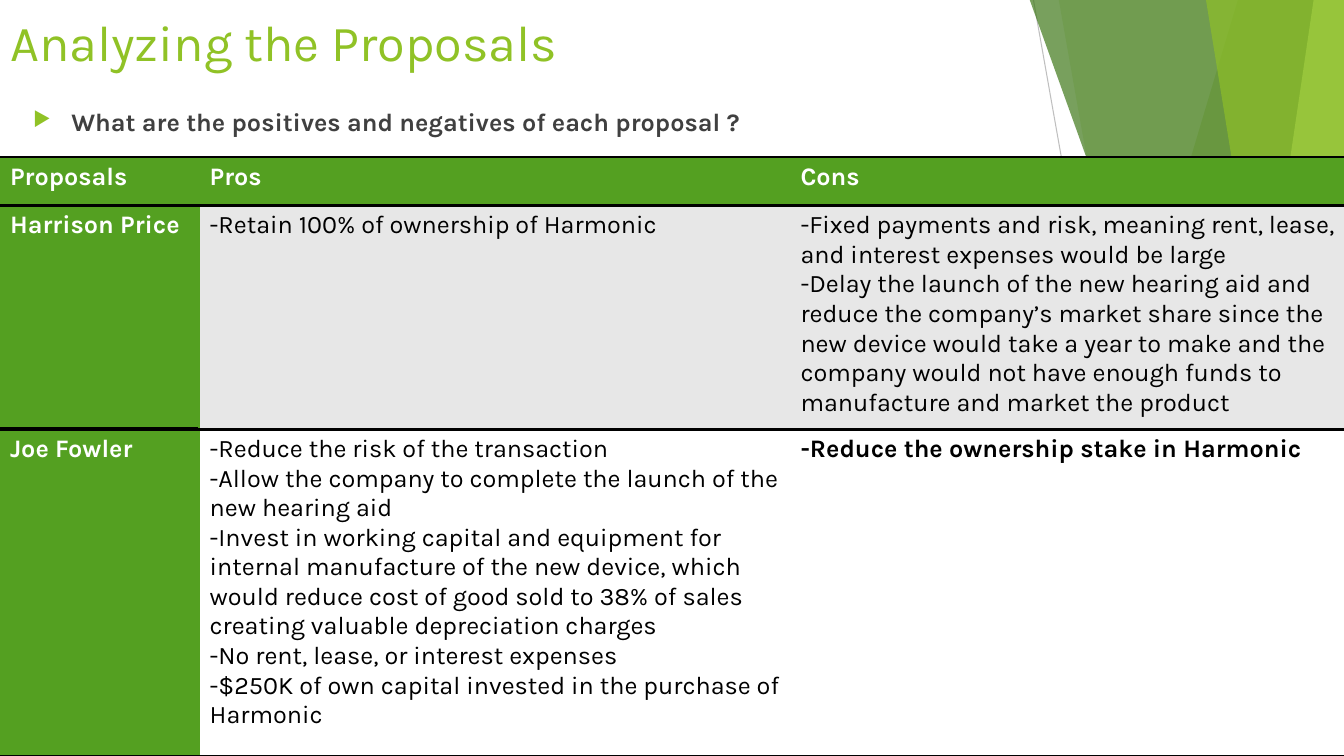
from lxml.etree import SubElement
from pptx import Presentation
from pptx.dml.color import RGBColor
from pptx.enum.shapes import MSO_CONNECTOR, MSO_SHAPE
from pptx.enum.text import MSO_ANCHOR, PP_ALIGN
from pptx.oxml import parse_xml
from pptx.oxml.ns import nsdecls, qn
from pptx.util import Inches, Pt

LIME = RGBColor(0x90, 0xC2, 0x26)
GREEN = RGBColor(0x54, 0xA0, 0x21)
FOREST = RGBColor(0x3F, 0x78, 0x19)
PALE = RGBColor(0xC0, 0xE4, 0x74)
DARK = RGBColor(0x40, 0x40, 0x40)
SILVER = RGBColor(0xBF, 0xBF, 0xBF)
MIST = RGBColor(0xD9, 0xD9, 0xD9)
BAND = RGBColor(0xE7, 0xE7, 0xE7)
BLACK = RGBColor(0, 0, 0)
WHITE = RGBColor(255, 255, 255)
W, H = 13.33, 7.5
TOP = -0.01


def write(tf, *paras, size=18, color=BLACK, bold=False, anchor=MSO_ANCHOR.TOP, bullet=None):
    tf.word_wrap = True
    tf.vertical_anchor = anchor
    for i, text in enumerate(paras):
        p = tf.paragraphs[0] if i == 0 else tf.add_paragraph()
        p.alignment = PP_ALIGN.LEFT
        if bullet:
            pPr = p._p.get_or_add_pPr()
            pPr.set("marL", str(Inches(0.38)))
            pPr.set("indent", str(-Inches(0.38)))
            clr = SubElement(pPr, qn("a:buClr"))
            SubElement(clr, qn("a:srgbClr"), val=str(LIME))
            SubElement(pPr, qn("a:buSzPct"), val="80000")
            SubElement(pPr, qn("a:buChar"), char=bullet)
        r = p.add_run()
        r.text = text
        r.font.name = "Karla"
        r.font.size = Pt(size)
        r.font.bold = bold
        r.font.color.rgb = color


def add_line(x1, y1, x2, y2, color, width):
    cx = s.shapes.add_connector(MSO_CONNECTOR.STRAIGHT, *map(Inches, (x1, y1, x2, y2)))
    cx.line.color.rgb = color
    cx.line.width = Pt(width)
    SubElement(cx._element.spPr, qn("a:effectLst"))


prs = Presentation()
prs.slide_width, prs.slide_height = Inches(W), Inches(H)
s = prs.slides.add_slide(prs.slide_layouts[5])

title = s.shapes.title
title.left, title.top, title.width, title.height = map(Inches, (0, 0, 9.4, 0.83))
write(title.text_frame, "Analyzing the Proposals", size=36, color=LIME, anchor=MSO_ANCHOR.MIDDLE)

add_line(10.25, 0, 11.58, H, SILVER, 0.75)
add_line(W, 4.03, 8.12, H, MIST, 0.75)

# Slanted panels: top-left x and bottom-left x; triangles: left, top, width, apex
facets = [
    ((12.28, 10.04), LIME, 30),
    ((10.5, 11.83), LIME, 20),
    ((9.77, 3.33, 3.56, 1), GREEN, 72),
    ((10.21, 12.91), FOREST, 70),
    ((13.03, 11.92), PALE, 70),
    ((11.96, 13.18), LIME, 65),
    ((11.34, 3.93, 1.99, 1), LIME, 80),
    ((0, 4.39, 0.49, 0), LIME, 85),
]
for geometry, color, alpha in facets:
    if len(geometry) == 2:
        x_top, x_bottom = geometry
        fb = s.shapes.build_freeform(Inches(x_top), Inches(TOP))
        corners = [(W, TOP), (W, H), (x_bottom, H)]
        fb.add_line_segments([(Inches(x), Inches(y)) for x, y in corners], close=True)
        sp = fb.convert_to_shape()
    else:
        x, y, width, apex = geometry
        sp = s.shapes.add_shape(MSO_SHAPE.ISOSCELES_TRIANGLE, *map(Inches, (x, y, width, H - y)))
        sp.adjustments[0] = apex
    sp.shadow.inherit = False
    sp.fill.solid()
    sp.fill.fore_color.rgb = color
    sp.line.fill.background()
    rgb = sp._element.spPr.find(qn("a:solidFill")).find(qn("a:srgbClr"))
    SubElement(rgb, qn("a:alpha"), val=str(alpha * 1000))

question = s.shapes.add_textbox(*map(Inches, (0.23, 1.01, 9.4, 0.57)))
write(question.text_frame, "What are the positives and negatives of each proposal ?",
      color=DARK, bold=True, bullet="▶")

rows = [
    [["Proposals"], ["Pros"], ["Cons"]],
    [["Harrison Price"],
     ["-Retain 100% of ownership of Harmonic"],
     ["-Fixed payments and risk, meaning rent, lease, and interest expenses would be large",
      "-Delay the launch of the new hearing aid and reduce the company’s market share since the "
      "new device would take a year to make and the company would not have enough funds to "
      "manufacture and market the product"]],
    [["Joe Fowler"],
     ["-Reduce the risk of the transaction",
      "-Allow the company to complete the launch of the new hearing aid",
      "-Invest in working capital and equipment for internal manufacture of the new device, "
      "which would reduce cost of good sold to 38% of sales creating valuable depreciation charges",
      "-No rent, lease, or interest expenses",
      "-$250K of own capital invested in the purchase of Harmonic"],
     ["-Reduce the ownership stake in Harmonic"]],
]
tbl = s.shapes.add_table(3, 3, *map(Inches, (0, 1.56, W, 5.94))).table
tbl.first_row = tbl.horz_banding = False
tbl._tbl.tblPr.find(qn("a:tableStyleId")).text = "{2D5ABB26-0587-4C30-8999-92F81FD0307C}"
for col, width in zip(tbl.columns, (1.98, 5.86, 5.5)):
    col.width = Inches(width)
for row, height in zip(tbl.rows, (0.48, 2.22, 3.24)):
    row.height = Inches(height)

row_fills = [GREEN, BAND, WHITE]
row_borders = [("lnT", "lnB"), ("lnT",), ("lnB",)]
for i, row in enumerate(rows):
    for j, paras in enumerate(row):
        cell = tbl.cell(i, j)
        heading = i == 0 or j == 0
        write(cell.text_frame, *paras, color=WHITE if heading else BLACK,
              bold=heading or (i, j) == (2, 2))
        cell.fill.solid()
        cell.fill.fore_color.rgb = GREEN if heading else row_fills[i]
        tcPr = cell._tc.get_or_add_tcPr()
        for k, side in enumerate(row_borders[i]):
            tcPr.insert(k, parse_xml(
                f'<a:{side} {nsdecls("a")} w="{Pt(2)}"><a:solidFill>'
                f'<a:srgbClr val="{BLACK}"/></a:solidFill></a:{side}>'))

add_line(1.96, 4.25, 0, 4.25, BLACK, 2)

prs.save("out.pptx")
